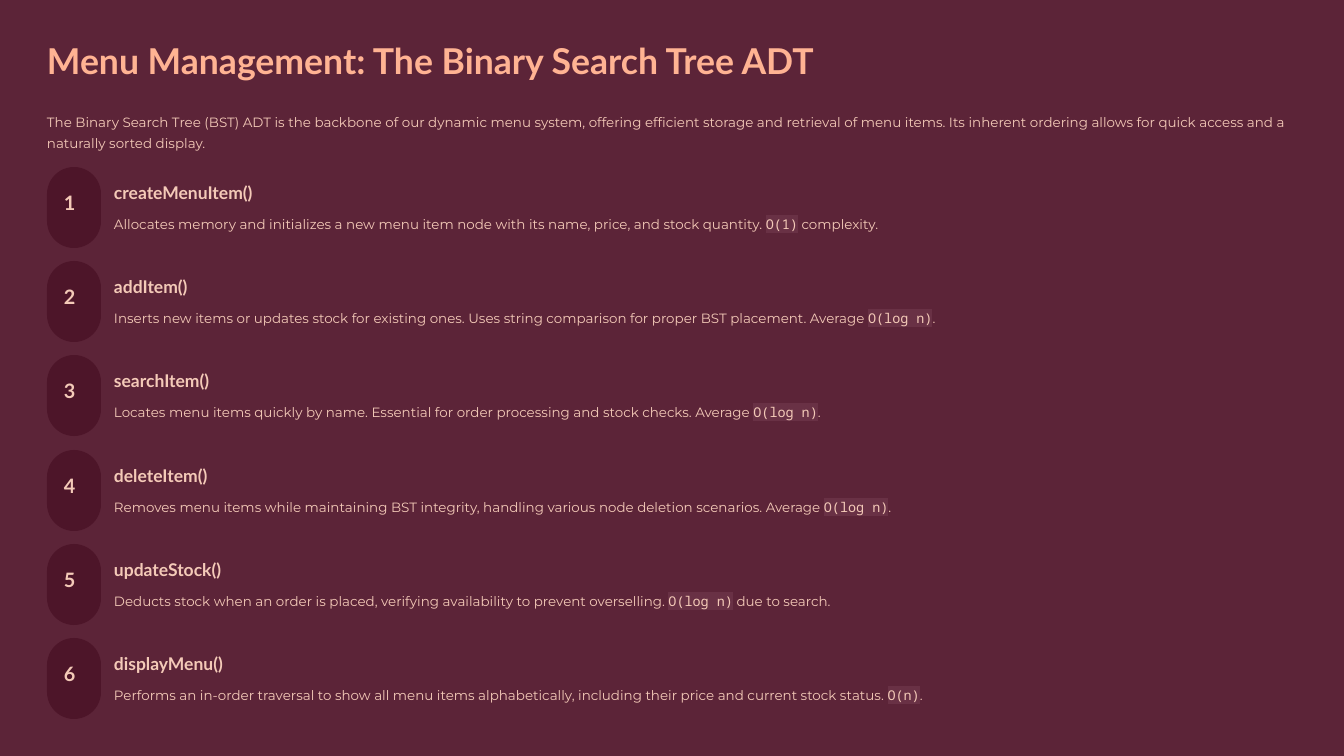
from dataclasses import dataclass

from lxml.etree import SubElement
from pptx import Presentation
from pptx.dml.color import RGBColor
from pptx.enum.shapes import MSO_SHAPE
from pptx.oxml.ns import qn
from pptx.slide import Slide
from pptx.util import Emu, Pt

PIXELS_PER_INCH = 84
BACKGROUND = RGBColor(0x5C, 0x24, 0x38)
BADGE = RGBColor(0x4D, 0x15, 0x29)
TITLE = RGBColor(0xFF, 0xB3, 0x93)
BODY = RGBColor(0xF4, 0xCA, 0xB8)
CODE_HIGHLIGHT = RGBColor(0x69, 0x31, 0x45)

HEADING_FONT = "Lato"
BODY_FONT = "Montserrat"
CODE_FONT = "Noto Sans Mono"

LEFT = 47
TEXT_LEFT = 114
FIRST_ROW_TOP = 167
ROWS_SPAN = 471


@dataclass(frozen=True)
class Operation:
    name: str
    description: str
    complexity: str
    ending: str = "."


OPERATIONS = [
    Operation(
        "createMenuItem()",
        "Allocates memory and initializes a new menu item node with its name, price, and stock quantity. ",
        "O(1)",
        " complexity.",
    ),
    Operation(
        "addItem()",
        "Inserts new items or updates stock for existing ones. "
        "Uses string comparison for proper BST placement. Average ",
        "O(log n)",
    ),
    Operation(
        "searchItem()",
        "Locates menu items quickly by name. Essential for order processing and stock checks. Average ",
        "O(log n)",
    ),
    Operation(
        "deleteItem()",
        "Removes menu items while maintaining BST integrity, handling various node deletion scenarios. Average ",
        "O(log n)",
    ),
    Operation(
        "updateStock()",
        "Deducts stock when an order is placed, verifying availability to prevent overselling. ",
        "O(log n)",
        " due to search.",
    ),
    Operation(
        "displayMenu()",
        "Performs an in-order traversal to show all menu items alphabetically, "
        "including their price and current stock status. ",
        "O(n)",
    ),
]


def px(length: int) -> Emu:
    return Emu(round(length * 914400 / PIXELS_PER_INCH))


def add_text(
    slide: Slide,
    text: str,
    *,
    left: int,
    top: int,
    width: int,
    height: int,
    size: float,
    line_spacing: int,
    font: str = HEADING_FONT,
    color: RGBColor = BODY,
    bold: bool = False,
    wrap: bool = False,
    code: str = "",
    ending: str = "",
) -> None:
    box = slide.shapes.add_textbox(px(left), px(top), px(width), px(height))
    frame = box.text_frame
    frame.word_wrap = wrap
    frame.margin_left = frame.margin_top = frame.margin_right = frame.margin_bottom = 0
    paragraph = frame.paragraphs[0]
    paragraph.line_spacing = Pt(line_spacing)
    for content, typeface in ((text, font), (code, CODE_FONT), (ending, font)):
        if not content:
            continue
        run = paragraph.add_run()
        run.text = content
        run.font.size = Pt(size)
        run.font.bold = bold
        run.font.color.rgb = color
        if typeface == CODE_FONT:
            highlight = SubElement(run.font._element, qn("a:highlight"))
            SubElement(highlight, qn("a:srgbClr"), val=str(CODE_HIGHLIGHT))
        run.font.name = typeface


def add_badge(slide: Slide, top: int) -> None:
    badge = slide.shapes.add_shape(MSO_SHAPE.ROUNDED_RECTANGLE, px(LEFT), px(top), px(54), px(81))
    badge.adjustments[0] = 0.5
    badge.shadow.inherit = False
    badge.fill.solid()
    badge.fill.fore_color.rgb = BADGE
    badge.line.fill.background()


def add_operation(slide: Slide, number: int, operation: Operation) -> None:
    top = FIRST_ROW_TOP + round((number - 1) * ROWS_SPAN / (len(OPERATIONS) - 1))
    add_badge(slide, top)
    add_text(slide, str(number), left=64, top=top + 28, width=20, height=25,
             size=17, line_spacing=17, bold=True)
    add_text(slide, operation.name, left=TEXT_LEFT, top=top + 14, width=180, height=23,
             size=15, line_spacing=19, bold=True)
    add_text(slide, operation.description, left=TEXT_LEFT, top=top + 44, width=1183, height=23,
             size=11.5, line_spacing=18, font=BODY_FONT,
             code=operation.complexity, ending=operation.ending)


def main() -> None:
    presentation = Presentation()
    presentation.slide_width = px(1344)
    presentation.slide_height = px(756)
    slide = presentation.slides.add_slide(presentation.slide_layouts[6])
    slide.background.fill.solid()
    slide.background.fill.fore_color.rgb = BACKGROUND

    add_text(slide, "Menu Management: The Binary Search Tree ADT",
             left=LEFT, top=37, width=837, height=45,
             size=30.5, line_spacing=38, color=TITLE, bold=True)
    add_text(slide,
             "The Binary Search Tree (BST) ADT is the backbone of our dynamic menu system, "
             "offering efficient storage and retrieval of menu items. "
             "Its inherent ordering allows for quick access and a naturally sorted display.",
             left=LEFT, top=109, width=1250, height=43,
             size=11.5, line_spacing=18, font=BODY_FONT, wrap=True)
    for number, operation in enumerate(OPERATIONS, start=1):
        add_operation(slide, number, operation)

    presentation.save("out.pptx")


if __name__ == "__main__":
    main()
